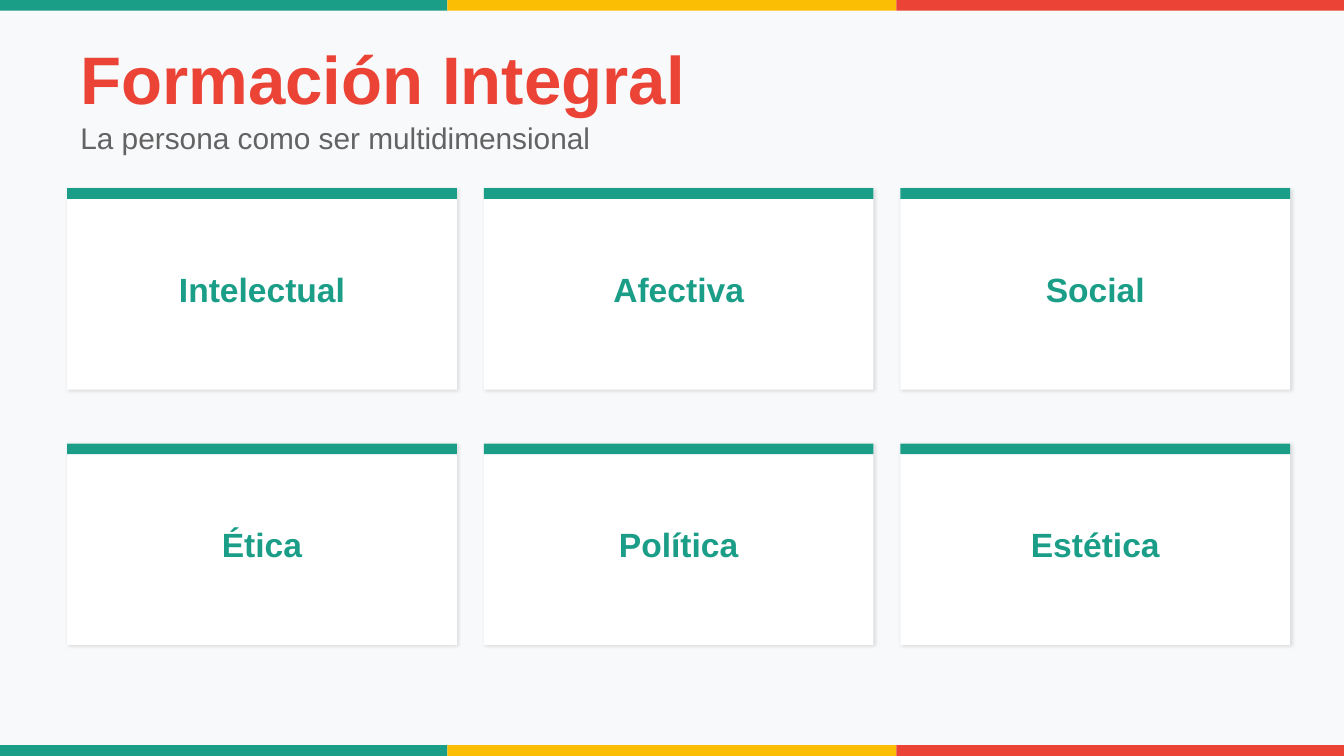
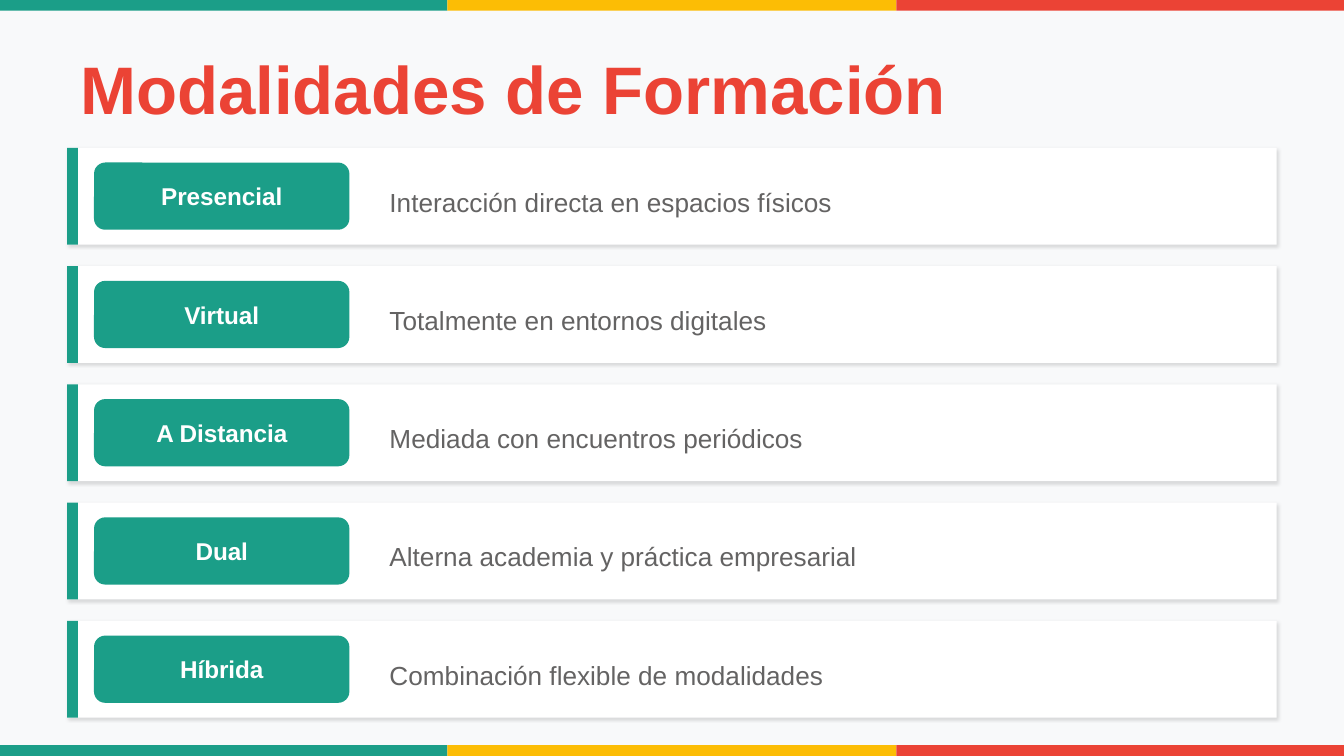
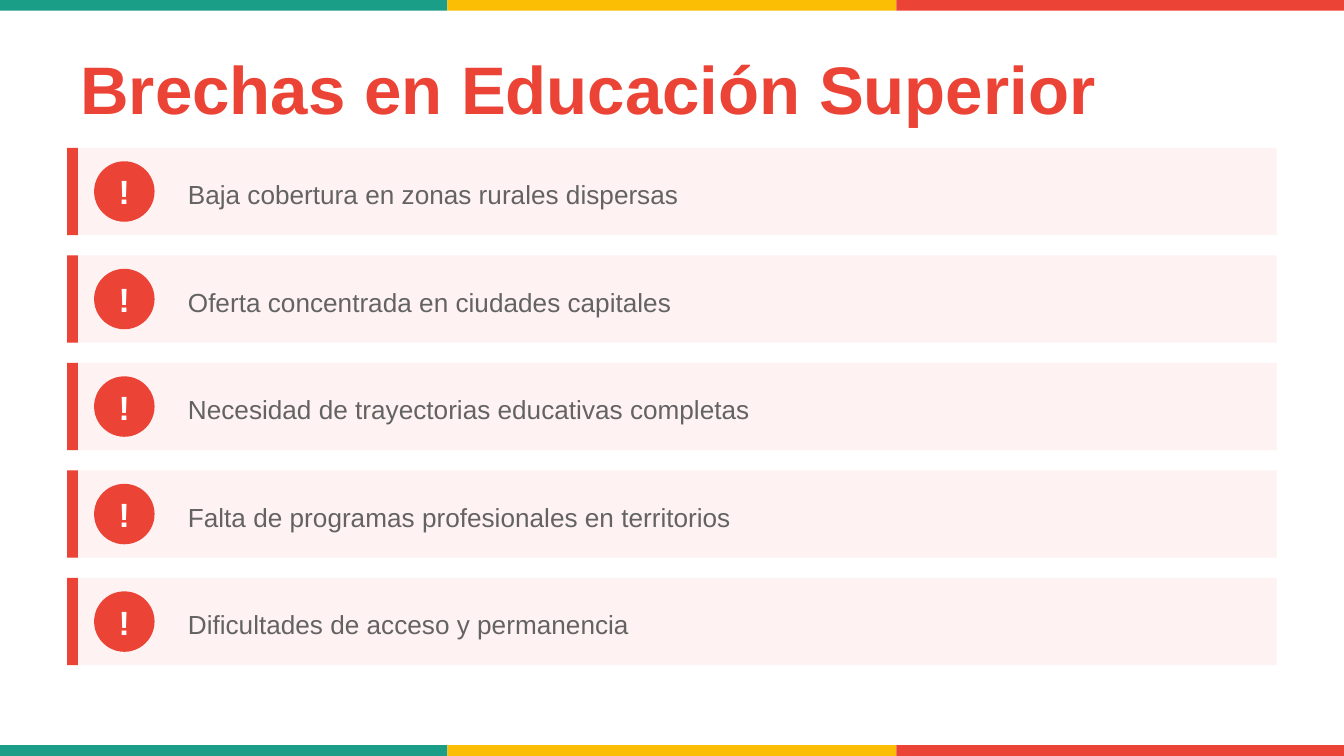
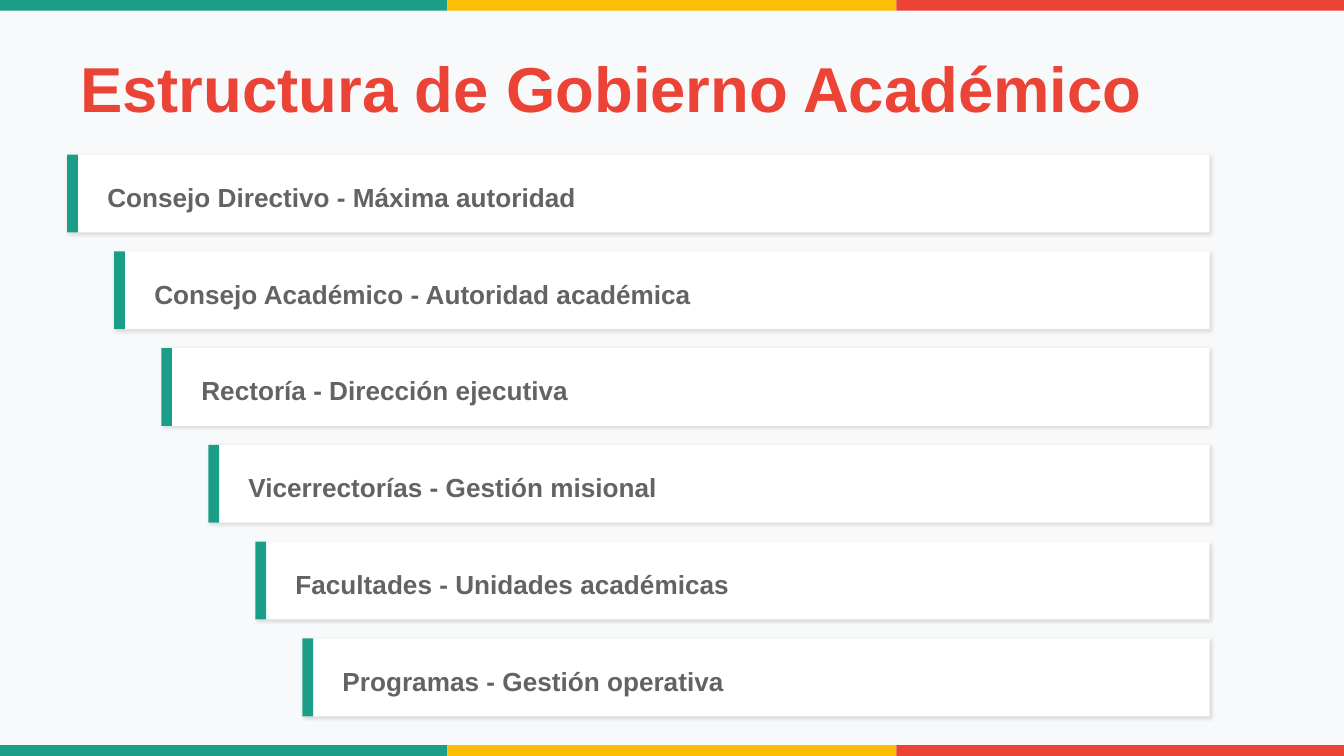
import pptx
import pptx.dml.color
import pptx.enum.shapes
import pptx.enum.text
import pptx.oxml.ns
import pptx.util
import lxml.etree
from dataclasses import dataclass

EMU_PER_PX = 4572  # 200 px to the inch
PAGE_WIDTH, PAGE_HEIGHT = 2000, 1125
MARGIN = 100
STRIPE = 16

SHAPES = pptx.enum.shapes.MSO_SHAPE
LEFT = pptx.enum.text.PP_ALIGN.LEFT
CENTER = pptx.enum.text.PP_ALIGN.CENTER


@dataclass(frozen=True)
class Theme:
    font: str = "Arial"
    green: str = "1B9E88"
    yellow: str = "FCBD05"
    red: str = "EB4335"
    gray: str = "646363"
    white: str = "FFFFFF"
    mist: str = "F8F9FA"
    blush: str = "FEF2F2"
    title: int = 36
    long_title: int = 34
    label: int = 18
    subtitle: int = 16
    body: int = 14
    pill: int = 13


THEME = Theme()


def px(length):
    return pptx.util.Emu(length * EMU_PER_PX)


def rgb(color):
    return pptx.dml.color.RGBColor.from_string(color)


# Basic elements

def add_block(page, x, y, width, height, color, kind=SHAPES.RECTANGLE):
    block = page.shapes.add_shape(kind, px(x), px(y), px(width), px(height))
    block.shadow.inherit = False
    block.fill.solid()
    block.fill.fore_color.rgb = rgb(color)
    block.line.fill.background()
    return block


def add_soft_shadow(block):
    qn = pptx.oxml.ns.qn
    effects = block._element.spPr.find(qn("a:effectLst"))
    shadow = lxml.etree.SubElement(
        effects, qn("a:outerShdw"), blurRad="25400", dist="12700",
        dir="2700000", algn="bl", rotWithShape="0")
    color = lxml.etree.SubElement(shadow, qn("a:srgbClr"), val="000000")
    lxml.etree.SubElement(color, qn("a:alpha"), val="12000")


def add_text(page, x, y, width, height, text, size, color, bold=False, align=LEFT):
    box = page.shapes.add_textbox(px(x), px(y), px(width), px(height))
    frame = box.text_frame
    frame.word_wrap = True
    frame.vertical_anchor = pptx.enum.text.MSO_ANCHOR.MIDDLE
    para = frame.paragraphs[0]
    para.alignment = align
    span = para.add_run()
    span.text = text
    formats = {"name": THEME.font, "size": pptx.util.Pt(size), "bold": bold}
    for name, value in formats.items():
        setattr(span.font, name, value)
    span.font.color.rgb = rgb(color)


# Shared page parts

def add_page(deck, title, background=THEME.mist, title_size=THEME.title, title_height=140):
    page = deck.slides.add_slide(deck.slide_layouts[6])
    page.background.fill.solid()
    page.background.fill.fore_color.rgb = rgb(background)
    edges = (0, 666, 1334, PAGE_WIDTH)
    colors = (THEME.green, THEME.yellow, THEME.red)
    for y in (0, PAGE_HEIGHT - STRIPE):
        for start, end, color in zip(edges, edges[1:], colors):
            add_block(page, start, y, end - start, STRIPE, color)
    add_text(page, MARGIN, 60, 1800, title_height, title, title_size, THEME.red, bold=True)
    return page


def add_row(page, x, y, width, height, accent=THEME.green, fill=THEME.white, shadow=True):
    """Band with an accent stripe on its left edge."""
    band = add_block(page, x, y, width, height, fill)
    if shadow:
        add_soft_shadow(band)
    add_block(page, x, y, STRIPE, height, accent)


def add_card(page, x, y, width, height, label):
    """Card with an accent stripe on its top edge."""
    add_soft_shadow(add_block(page, x, y, width, height, THEME.white))
    add_block(page, x, y, width, STRIPE, THEME.green)
    add_text(page, x, y + 90, width, 120, label, THEME.label, THEME.green,
             bold=True, align=CENTER)


# Slides

def build_dimensions(deck):
    page = add_page(deck, "Formación Integral", title_height=110)
    add_text(page, MARGIN, 170, 1800, 70, "La persona como ser multidimensional",
             THEME.subtitle, THEME.gray)
    dimensions = ("Intelectual", "Afectiva", "Social", "Ética", "Política", "Estética")
    for index, dimension in enumerate(dimensions):
        row, column = divmod(index, 3)
        add_card(page, MARGIN + 620 * column, 280 + 380 * row, 580, 300, dimension)


def build_modalities(deck):
    page = add_page(deck, "Modalidades de Formación")
    modalities = (
        ("Presencial", "Interacción directa en espacios físicos"),
        ("Virtual", "Totalmente en entornos digitales"),
        ("A Distancia", "Mediada con encuentros periódicos"),
        ("Dual", "Alterna academia y práctica empresarial"),
        ("Híbrida", "Combinación flexible de modalidades"),
    )
    for index, (modality, description) in enumerate(modalities):
        y = 220 + 176 * index
        add_row(page, MARGIN, y, 1800, 144)
        add_block(page, 140, y + 22, 380, 100, THEME.green, SHAPES.ROUNDED_RECTANGLE)
        add_text(page, 140, y + 32, 380, 80, modality, THEME.pill, THEME.white,
                 bold=True, align=CENTER)
        add_text(page, 560, y + 40, 1300, 80, description, THEME.body, THEME.gray)


def build_gaps(deck):
    page = add_page(deck, "Brechas en Educación Superior", background=THEME.white)
    gaps = (
        "Baja cobertura en zonas rurales dispersas",
        "Oferta concentrada en ciudades capitales",
        "Necesidad de trayectorias educativas completas",
        "Falta de programas profesionales en territorios",
        "Dificultades de acceso y permanencia",
    )
    for index, gap in enumerate(gaps):
        y = 220 + 160 * index
        add_row(page, MARGIN, y, 1800, 130, THEME.red, THEME.blush, shadow=False)
        add_block(page, 140, y + 20, 90, 90, THEME.red, SHAPES.OVAL)
        add_text(page, 140, y + 20, 90, 90, "!", THEME.label, THEME.white,
                 bold=True, align=CENTER)
        add_text(page, 260, y + 34, 1600, 70, gap, THEME.body, THEME.gray)


def build_government(deck):
    page = add_page(deck, "Estructura de Gobierno Académico", title_size=THEME.long_title)
    levels = (
        "Consejo Directivo - Máxima autoridad",
        "Consejo Académico - Autoridad académica",
        "Rectoría - Dirección ejecutiva",
        "Vicerrectorías - Gestión misional",
        "Facultades - Unidades académicas",
        "Programas - Gestión operativa",
    )
    right_edge = 1800
    for index, level in enumerate(levels):
        x, y = MARGIN + 70 * index, 230 + 144 * index
        add_row(page, x, y, right_edge - x, 116)
        add_text(page, x + 40, y + 28, 1600, 70, level, THEME.body, THEME.gray, bold=True)


def main():
    deck = pptx.Presentation()
    deck.slide_width, deck.slide_height = px(PAGE_WIDTH), px(PAGE_HEIGHT)
    for build in (build_dimensions, build_modalities, build_gaps, build_government):
        build(deck)
    deck.save("out.pptx")


if __name__ == "__main__":
    main()
